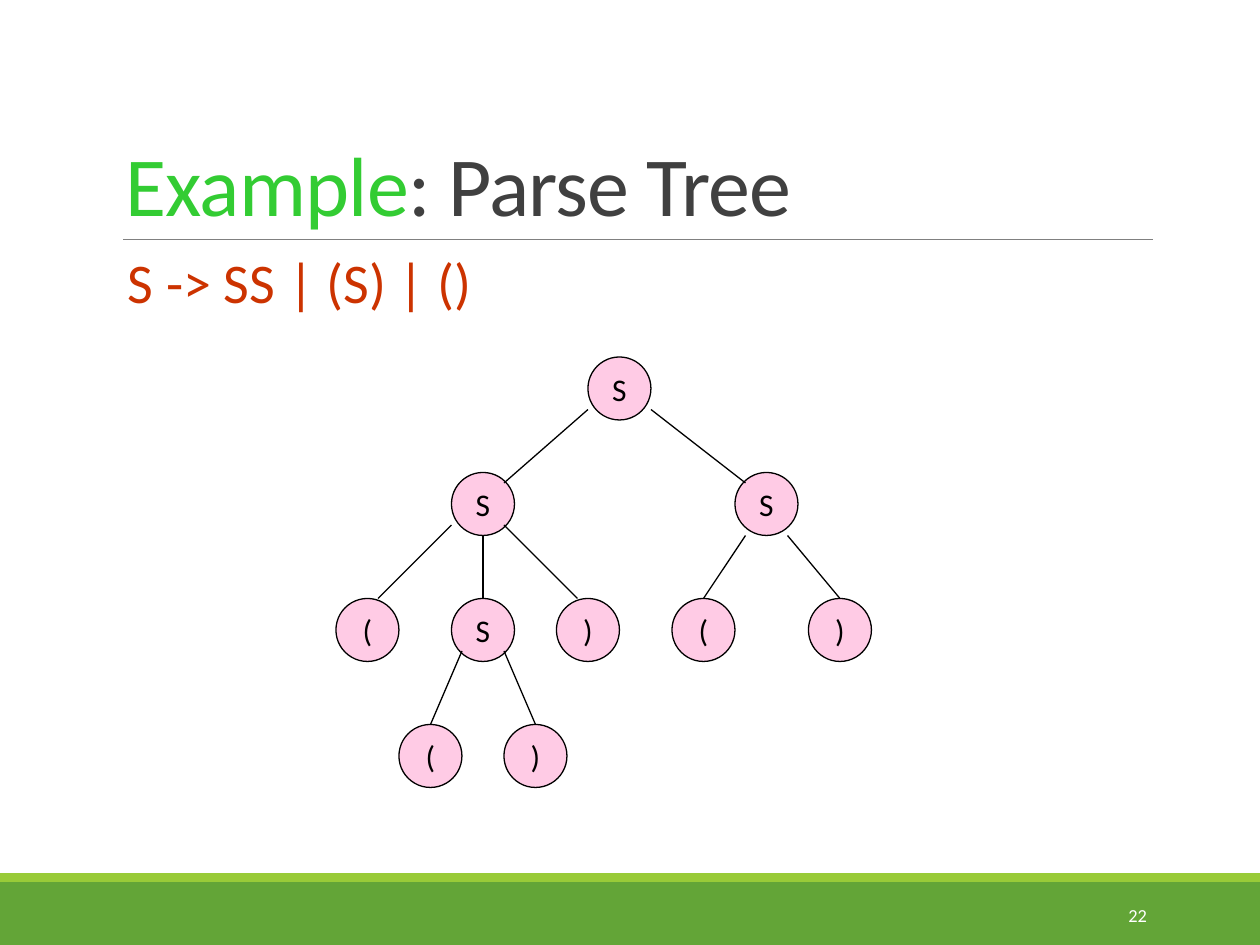
from dataclasses import dataclass
from typing import Any

from lxml import etree
from pptx import Presentation
from pptx import util as u
from pptx.dml.color import RGBColor
from pptx.enum import shapes, text
from pptx.oxml import ns

FONT = "Calibri"
BLACK, WHITE, GREEN = "000000", "FFFFFF", "63A537"
SIZE = 36  # node diameter


@dataclass(frozen=True)
class Node:
    mark: str
    left: float
    top: float


@dataclass(frozen=True)
class Edge:
    x1: float
    y1: float
    x2: float
    y2: float


@dataclass(frozen=True)
class Run:
    words: str
    size: float
    color: str
    track: int = 0  # hundredths of a point


# Rows of the tree
ROWS = (204, 270, 342, 414)
NODES = [
    Node("S", 336, ROWS[0]),
    Node("S", 258, ROWS[1]), Node("S", 420, ROWS[1]),
    Node("(", 192, ROWS[2]), Node("S", 258, ROWS[2]), Node(")", 318, ROWS[2]),
    Node("(", 384, ROWS[2]), Node(")", 462, ROWS[2]),
    Node("(", 228, ROWS[3]), Node(")", 288, ROWS[3]),
]
EDGES = [
    Edge(336, 234, 288, 276), Edge(372, 234, 426, 276),
    Edge(258, 300, 216, 342), Edge(276, 306, 276, 342), Edge(288, 300, 330, 342),
    Edge(426, 306, 402, 342), Edge(450, 306, 480, 342),
    Edge(264, 372, 246, 414), Edge(288, 372, 306, 414),
]


def rgb(code: str) -> RGBColor:
    return RGBColor.from_string(code)


def apply(item: Any, form: dict[str, Any]) -> None:
    for name, value in form.items():
        setattr(item, name, value)


def write(shape: Any, runs: list[Run], frame: dict[str, Any], para: dict[str, Any]) -> None:
    body = shape.text_frame
    apply(body, frame)
    line = body.paragraphs[0]
    apply(line, para)
    for part in runs:
        run = line.add_run()
        run.text = part.words
        apply(run.font, {"name": FONT, "size": u.Pt(part.size)})
        run.font.color.rgb = rgb(part.color)
        if part.track:
            run.font._element.set("spc", str(part.track))


def label(slide: Any, box: tuple[float, ...], runs: list[Run],
          frame: dict[str, Any], para: dict[str, Any]) -> None:
    write(slide.shapes.add_textbox(*map(u.Pt, box)), runs, frame, para)


def band(slide: Any, top: float, height: float, color: str) -> None:
    shape = slide.shapes.add_shape(
        shapes.MSO_SHAPE.RECTANGLE, u.Pt(0), u.Pt(top), u.Pt(720), u.Pt(height))
    shape.shadow.inherit = False
    shape.fill.solid()
    shape.fill.fore_color.rgb = rgb(color)
    shape.line.fill.background()


def link(slide: Any, edge: Edge, color: str = BLACK, width: float = 0.75) -> None:
    ends = map(u.Pt, (edge.x1, edge.y1, edge.x2, edge.y2))
    line = slide.shapes.add_connector(shapes.MSO_CONNECTOR.STRAIGHT, *ends)
    line.line.color.rgb = rgb(color)
    line.line.width = u.Pt(width)
    etree.SubElement(line._element.spPr, ns.qn("a:effectLst"))


def circle(slide: Any, node: Node) -> None:
    shape = slide.shapes.add_shape(
        shapes.MSO_SHAPE.OVAL, u.Pt(node.left), u.Pt(node.top), u.Pt(SIZE), u.Pt(SIZE))
    shape.shadow.inherit = False
    shape.fill.solid()
    shape.fill.fore_color.rgb = rgb("FF99CC")
    tint = shape._element.spPr.find(f"{ns.qn('a:solidFill')}/{ns.qn('a:srgbClr')}")
    etree.SubElement(tint, ns.qn("a:alpha")).set("val", "50000")
    shape.line.color.rgb = rgb(BLACK)
    shape.line.width = u.Pt(0.75)
    write(shape, [Run(node.mark, 18, BLACK)],
          {"word_wrap": False, "vertical_anchor": text.MSO_ANCHOR.MIDDLE},
          {"alignment": text.PP_ALIGN.CENTER})


def main() -> None:
    deck = Presentation()
    apply(deck, {"slide_width": u.Pt(720), "slide_height": u.Pt(540)})
    slide = deck.slides.add_slide(deck.slide_layouts[6])

    # Footer bands, title rule and page number
    band(slide, 504, 36, GREEN)
    band(slide, 499, 5, "99CB38")
    link(slide, Edge(70.5, 136.8, 658.8, 136.8), "808080", 0.5)
    label(slide, (584.6, 508.3, 77.8, 28.8), [Run("22", 10.5, WHITE)],
          {"word_wrap": True, "vertical_anchor": text.MSO_ANCHOR.MIDDLE},
          {"alignment": text.PP_ALIGN.RIGHT})

    # Title and grammar
    label(slide, (64.8, 22.3, 594, 114.5),
          [Run("Example", 48, "33CC33", -50), Run(": Parse Tree", 48, "404040", -50)],
          {"word_wrap": True, "vertical_anchor": text.MSO_ANCHOR.BOTTOM},
          {"line_spacing": 0.85})
    label(slide, (66, 138, 254, 45.6), [Run("S -> SS | (S) | ()", 32, "CC3300")],
          {"word_wrap": False, "auto_size": text.MSO_AUTO_SIZE.SHAPE_TO_FIT_TEXT}, {})

    # Parse tree
    for node in NODES:
        circle(slide, node)
    for edge in EDGES:
        link(slide, edge)

    deck.save("out.pptx")


if __name__ == "__main__":
    main()
